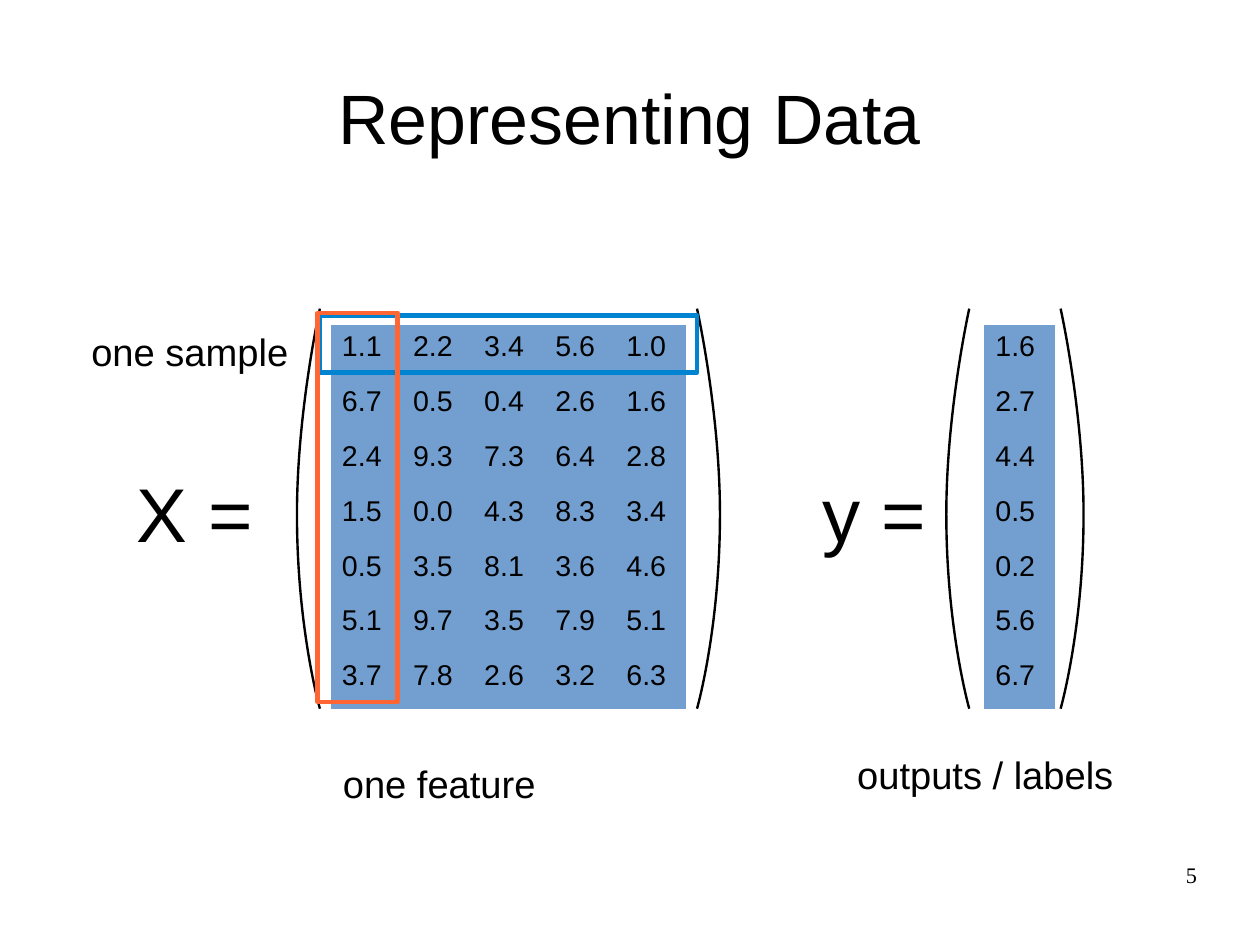
from lxml.etree import SubElement
from pptx import Presentation
from pptx.dml.color import RGBColor
from pptx.enum.shapes import MSO_SHAPE as Preset
from pptx.enum.text import MSO_ANCHOR as Anchor, MSO_AUTO_SIZE as AutoSize, PP_ALIGN as Align
from pptx.oxml.ns import qn
from pptx.util import Cm, Pt

BLACK, CELL_BLUE = "000000", "729FCF"
SAMPLE_BLUE, FEATURE_ORANGE = "0084D1", "FF6633"
NO_GRID_STYLE = "{2D5ABB26-0587-4C30-8999-92F81FD0307C}"
INSET_X, INSET_Y = Cm(0.25), Cm(0.13)
COLUMN_WIDTH, ROW_HEIGHT = 1.58, 1.22
TABLE_TOP = 7.22
PAREN_TOP, PAREN_MIDDLE, PAREN_BOTTOM = 6.86, 11.43, 15.75
PAREN_DEPTH = 0.51

FEATURES = [
    ["1.1", "2.2", "3.4", "5.6", "1.0"],
    ["6.7", "0.5", "0.4", "2.6", "1.6"],
    ["2.4", "9.3", "7.3", "6.4", "2.8"],
    ["1.5", "0.0", "4.3", "8.3", "3.4"],
    ["0.5", "3.5", "8.1", "3.6", "4.6"],
    ["5.1", "9.7", "3.5", "7.9", "5.1"],
    ["3.7", "7.8", "2.6", "3.2", "6.3"],
]
LABELS = [["1.6"], ["2.7"], ["4.4"], ["0.5"], ["0.2"], ["5.6"], ["6.7"]]


def color(hex_code):
    return RGBColor.from_string(hex_code)


def apply_format(target, values):
    for name, value in values.items():
        setattr(target, name, value)


def write(frame, text, size, font="Arial", align=Align.LEFT):
    para = frame.paragraphs[0]
    para.alignment = align
    span = para.add_run()
    span.text = text
    apply_format(span.font, {"name": font, "size": Pt(size), "bold": False})
    span.font.color.rgb = color(BLACK)


def set_insets(target, across, down):
    apply_format(target, {"margin_left": across, "margin_right": across,
                          "margin_top": down, "margin_bottom": down})


def add_title(page, text):
    title = page.shapes.title
    apply_format(title, {"left": Cm(1.4), "top": Cm(0.84),
                         "width": Cm(25.2), "height": Cm(3.5)})
    frame = title.text_frame
    apply_format(frame, {"vertical_anchor": Anchor.MIDDLE, "auto_size": AutoSize.NONE})
    set_insets(frame, 0, 0)
    write(frame, text, 44, align=Align.CENTER)


def add_label(page, text, place, size, wrap=True):
    box = page.shapes.add_textbox(*map(Cm, place))
    apply_format(box.text_frame, {"word_wrap": wrap,
                                  "auto_size": AutoSize.SHAPE_TO_FIT_TEXT})
    set_insets(box.text_frame, INSET_X, INSET_Y)
    write(box.text_frame, text, size)


def add_page_number(page, text):
    box = page.shapes.add_textbox(Cm(20.07), Cm(19.13), Cm(6.53), Cm(1.45))
    box.text_frame.word_wrap = True
    set_insets(box.text_frame, 0, 0)
    write(box.text_frame, text, 14, "Times New Roman", Align.RIGHT)


def add_matrix(page, left, rows):
    columns = len(rows[0])
    holder = page.shapes.add_table(len(rows), columns, Cm(left), Cm(TABLE_TOP),
                                   Cm(COLUMN_WIDTH * columns), Cm(ROW_HEIGHT * len(rows)))
    table = holder.table
    apply_format(table, {"first_row": False, "horz_banding": False})
    holder._element.find(".//" + qn("a:tableStyleId")).text = NO_GRID_STYLE
    for row_index, row in enumerate(rows):
        for column_index, value in enumerate(row):
            cell = table.cell(row_index, column_index)
            cell.fill.solid()
            cell.fill.fore_color.rgb = color(CELL_BLUE)
            set_insets(cell, INSET_X, INSET_Y)
            write(cell.text_frame, value, 18)


def bend_segments(shape, curves):
    """Turn each straight segment into a cubic curve through the given points."""
    segments = list(shape._element.iter(qn("a:lnTo")))
    for segment, points in zip(segments, curves):
        curve = SubElement(segment.getparent(), qn("a:cubicBezTo"))
        for x, y in points:
            SubElement(curve, qn("a:pt"), x=str(Cm(x) - shape.left),
                       y=str(Cm(y) - shape.top))
        segment.getparent().replace(segment, curve)


def add_parenthesis(page, tip_x, bulge):
    """Draw a bracket whose belly lies bulge away from its tips."""
    belly_x = tip_x + bulge
    top, bottom = (tip_x, PAREN_TOP), (tip_x, PAREN_BOTTOM)
    middle = (belly_x, PAREN_MIDDLE)
    builder = page.shapes.build_freeform(*map(Cm, top))
    builder.add_line_segments([tuple(map(Cm, point)) for point in (middle, bottom)],
                              close=False)
    shape = builder.convert_to_shape()
    bend_segments(shape, [(top, (belly_x, 9.14), middle),
                          ((belly_x, 13.97), bottom, bottom)])
    outline(shape, BLACK, 1.5)


def outline(shape, hex_code, width):
    shape.shadow.inherit = False
    shape.fill.background()
    shape.line.color.rgb = color(hex_code)
    shape.line.width = Pt(width)


def add_marker(page, place, hex_code):
    outline(page.shapes.add_shape(Preset.RECTANGLE, *map(Cm, place)), hex_code, 2.89)


def main():
    deck = Presentation()
    apply_format(deck, {"slide_width": Cm(28), "slide_height": Cm(21)})
    page = deck.slides.add_slide(deck.slide_layouts[5])
    add_title(page, "Representing Data")

    for tip_x, bulge in ((7.11, -PAREN_DEPTH), (21.54, -PAREN_DEPTH),
                         (23.57, PAREN_DEPTH), (15.49, PAREN_DEPTH)):
        add_parenthesis(page, tip_x, bulge)
    add_label(page, "X =", (2.79, 10.24, 3.56, 2.16), 48, wrap=False)
    add_label(page, "y =", (18.03, 10.24, 3.28, 2.16), 48, wrap=False)
    add_matrix(page, 7.35, FEATURES)
    add_matrix(page, 21.87, LABELS)

    add_label(page, "one sample", (1.78, 7.16, 5.08, 1.2), 24)
    add_marker(page, (7.11, 7.01, 8.38, 1.27), SAMPLE_BLUE)
    add_label(page, "one feature", (7.37, 16.76, 7.62, 1.2), 24)
    add_marker(page, (7.06, 6.96, 1.78, 8.64), FEATURE_ORANGE)
    add_label(page, "outputs / labels", (18.8, 16.56, 8.89, 1.2), 24)
    add_page_number(page, "5")
    deck.save("out.pptx")


if __name__ == "__main__":
    main()
